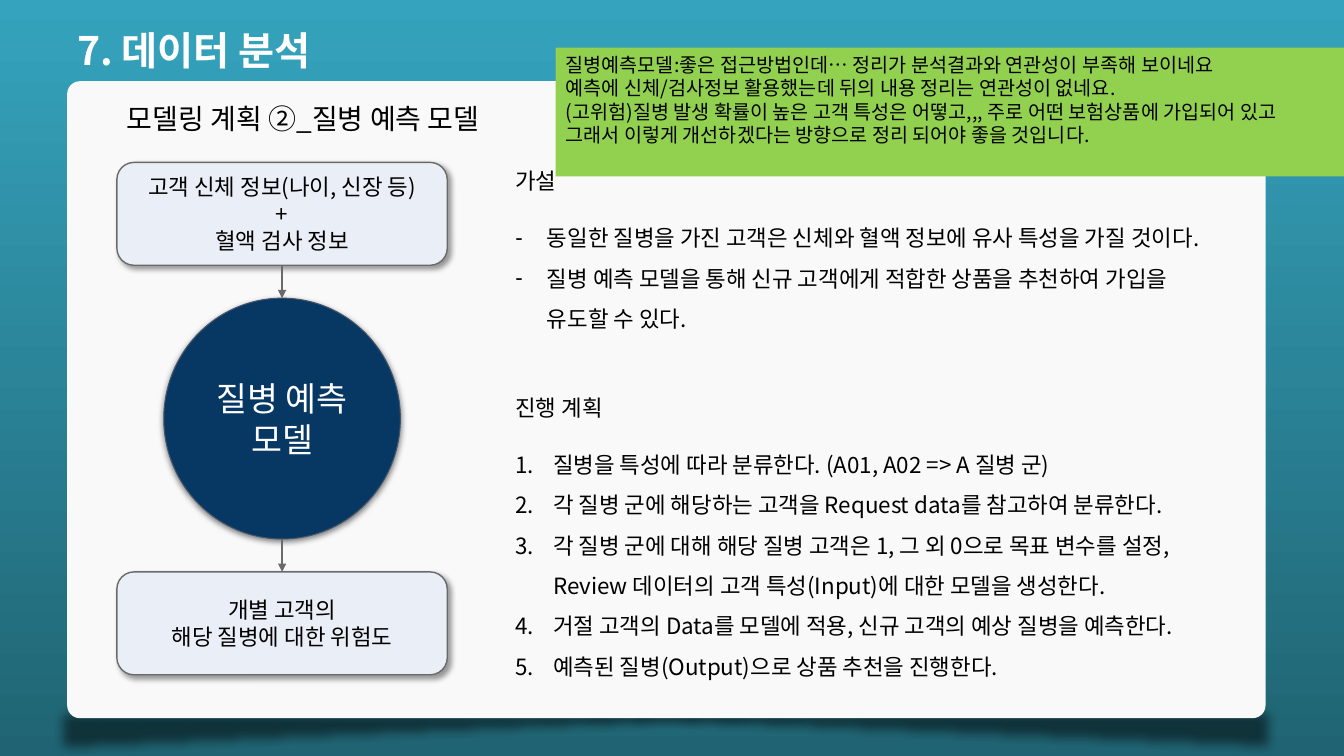
from dataclasses import dataclass
from lxml import etree
from pptx import Presentation
from pptx.dml.color import RGBColor
from pptx.enum.shapes import MSO_CONNECTOR, MSO_SHAPE
from pptx.enum.text import MSO_ANCHOR, MSO_AUTO_SIZE, PP_ALIGN
from pptx.oxml.ns import qn
from pptx.util import Pt

LEFT, CENTER = PP_ALIGN.LEFT, PP_ALIGN.CENTER
TOP, MIDDLE = MSO_ANCHOR.TOP, MSO_ANCHOR.MIDDLE
ROUND, OVAL = MSO_SHAPE.ROUNDED_RECTANGLE, MSO_SHAPE.OVAL
RECT, WEDGE = MSO_SHAPE.RECTANGLE, MSO_SHAPE.RIGHT_TRIANGLE
STRAIGHT = MSO_CONNECTOR.STRAIGHT
NO_FIT = MSO_AUTO_SIZE.NONE

# Content
TITLE = "7. 데이터 분석"
TOPIC = "모델링 계획 ②_질병 예측 모델"
INPUT = ["고객 신체 정보(나이, 신장 등)", "+", "혈액 검사 정보"]
MODEL = ["질병 예측", "모델"]
RESULT = ["개별 고객의", "해당 질병에 대한 위험도"]
GUESS = ("가설", [
    "동일한 질병을 가진 고객은 신체와 혈액 정보에 유사 특성을 가질 것이다.",
    "질병 예측 모델을 통해 신규 고객에게 적합한 상품을 추천하여 가입을 유도할 수 있다.",
])
PLAN = ("진행 계획", [
    "질병을 특성에 따라 분류한다. (A01, A02 => A 질병 군)",
    "각 질병 군에 해당하는 고객을 Request data를 참고하여 분류한다.",
    "각 질병 군에 대해 해당 질병 고객은 1, 그 외 0으로 목표 변수를 설정, "
    "Review 데이터의 고객 특성(Input)에 대한 모델을 생성한다.",
    "거절 고객의 Data를 모델에 적용, 신규 고객의 예상 질병을 예측한다.",
    "예측된 질병(Output)으로 상품 추천을 진행한다.",
])
NOTE = [
    "질병예측모델:좋은 접근방법인데… 정리가 분석결과와 연관성이 부족해 보이네요",
    "예측에 신체/검사정보 활용했는데 뒤의 내용 정리는 연관성이 없네요.",
    "(고위험)질병 발생 확률이 높은 고객 특성은 어떻고,,, 주로 어떤 보험상품에 가입되어 있고",
    "그래서 이렇게 개선하겠다는 방향으로 정리 되어야 좋을 것입니다.",
]


@dataclass(frozen=True)
class Theme:
    font: str = "Noto Sans CJK KR"
    sky: str = "35A3BD"
    sea: str = "206473"
    panel: str = "F9F9F9"
    navy: str = "073763"
    rim: str = "44546A"
    pale: str = "EAEFF7"
    gray: str = "6A6A6A"
    lime: str = "92D050"
    black: str = "000000"
    white: str = "FFFFFF"
    title: int = 28
    model: int = 24
    topic: int = 20
    body: int = 16
    note: int = 14


T = Theme()


def rgb(code):
    return RGBColor.from_string(code)


def node(root, tag, **attrs):
    item = etree.SubElement(root, qn(tag))
    for key, val in attrs.items():
        item.set(key, str(val))
    return item


def style(para, size, color=T.black, align=LEFT, bold=False):
    para.alignment = align
    font = para.font
    font.name, font.size, font.bold = T.font, Pt(size), bold
    font.color.rgb = rgb(color)
    node(para._p.pPr.find(qn("a:defRPr")), "a:ea", typeface=T.font)


def write(frame, lines, size, color=T.black, align=LEFT, anchor=TOP, wrap=True, bold=False):
    frame.word_wrap, frame.vertical_anchor = wrap, anchor
    for i, line in enumerate(lines):
        para = frame.add_paragraph() if i else frame.paragraphs[0]
        para.text = line
        style(para, size, color, align, bold)


def place(shape, x, y, w, h):
    shape.left, shape.top, shape.width, shape.height = Pt(x), Pt(y), Pt(w), Pt(h)
    shapes._spTree.append(shape._element)
    shape.text_frame.auto_size = NO_FIT


def draw(kind, x, y, w, h, fill, line=None, weight=1):
    shape = shapes.add_shape(kind, Pt(x), Pt(y), Pt(w), Pt(h))
    shape.shadow.inherit = False
    shape.fill.solid()
    shape.fill.fore_color.rgb = rgb(fill)
    if line:
        shape.line.color.rgb = rgb(line)
        shape.line.width = Pt(weight)
    else:
        shape.line.fill.background()
    return shape


def shade(shape, alpha, blur, dist, angle):
    root = shape._element.spPr.find(qn("a:effectLst"))
    cast = node(root, "a:outerShdw", blurRad=Pt(blur), dist=Pt(dist), dir=angle * 60000,
                algn="bl", rotWithShape=0)
    node(node(cast, "a:srgbClr", val=T.black), "a:alpha", val=alpha * 1000)


def fill_list(holder, text, indent, mark, **attrs):
    head, items = text
    frame = holder.text_frame
    frame.word_wrap, frame.vertical_anchor = True, TOP
    for i, line in enumerate([head] + items):
        para = frame.add_paragraph() if i else frame.paragraphs[0]
        para.text = line
        para.space_before = Pt(12 if i == 1 else 0)
        para.line_spacing = 1.5 if i else 1.0
        step = Pt(indent) if i else 0
        prop = para._p.get_or_add_pPr()
        prop.set("marL", str(step))
        prop.set("indent", str(-step))
        if i:
            node(prop, mark, **attrs)
        else:
            node(prop, "a:buNone")
        style(para, T.body)


def arrow(x, y, end):
    line = shapes.add_connector(STRAIGHT, Pt(x), Pt(y), Pt(x), Pt(end))
    line.line.color.rgb = rgb(T.gray)
    line.line.width = Pt(1)
    prop = line._element.spPr
    node(prop.find(qn("a:ln")), "a:tailEnd", type="triangle")
    node(prop, "a:effectLst")
    return line


# Slide and background
deck = Presentation()
deck.slide_width, deck.slide_height = Pt(960), Pt(540)
slide = deck.slides.add_slide(deck.slide_layouts[3])
shapes = slide.shapes
title, guess, plan = list(slide.placeholders)
back = slide.background.fill
back.gradient()
back.gradient_angle = 270
for stop, code in zip(back.gradient_stops, (T.sky, T.sea)):
    stop.color.rgb = rgb(code)

# Panel with its lifted-corner shadows
for x, y, flip in ((47, 503, True), (39, 504, False)):
    wedge = draw(WEDGE, x, y, 865, 36, T.black)
    prop = wedge._element.spPr
    prop.xfrm.set("flipV", "1")
    if flip:
        prop.xfrm.set("flipH", "1")
    node(prop.find(qn("a:solidFill"))[0], "a:alpha", val=51000)
    node(prop.find(qn("a:effectLst")), "a:softEdge", rad=Pt(8))
panel = draw(ROUND, 48, 58, 856, 455, T.panel)
panel.adjustments[0] = 0.02

# Title and topic
place(title, 48, 15, 541, 41)
write(title.text_frame, [TITLE], T.title, T.white, bold=True)
topic = shapes.add_textbox(Pt(83.5), Pt(69), Pt(292), Pt(32))
write(topic.text_frame, [TOPIC], T.topic)

# Flow: input, model, result
X, W, H = 83.5, 236, 73.5
MID = X + W / 2
DISC, TALL, Y = 169, 172, 213
model = draw(OVAL, MID - DISC / 2, Y, DISC, TALL, T.navy, T.rim, 0.75)
shade(model, 50, 4.5, 1.5, 90)
write(model.text_frame, MODEL, T.model, T.white, CENTER, MIDDLE)
boxes = []
for y, lines in ((116, INPUT), (408.5, RESULT)):
    box = draw(ROUND, X, y, W, H, T.pale, T.gray)
    shade(box, 40, 4, 3, 45)
    write(box.text_frame, lines, T.body, align=CENTER, anchor=MIDDLE)
    boxes.append(box)
first = arrow(MID, 116 + H, Y)
first.begin_connect(boxes[0], 2)
first.end_connect(model, 0)
arrow(MID, Y + TALL, 408.5).end_connect(boxes[1], 0)

# Plan and hypothesis
place(plan, 361, 278, 518, 214)
fill_list(plan, PLAN, 27, "a:buAutoNum", type="arabicPeriod")
place(guess, 361, 116, 518, 126)
fill_list(guess, GUESS, 22.5, "a:buChar", char="-")

# Review note
note = draw(RECT, 397, 34, 582, 92, T.lime)
write(note.text_frame, NOTE, T.note, wrap=False)

deck.save("out.pptx")
